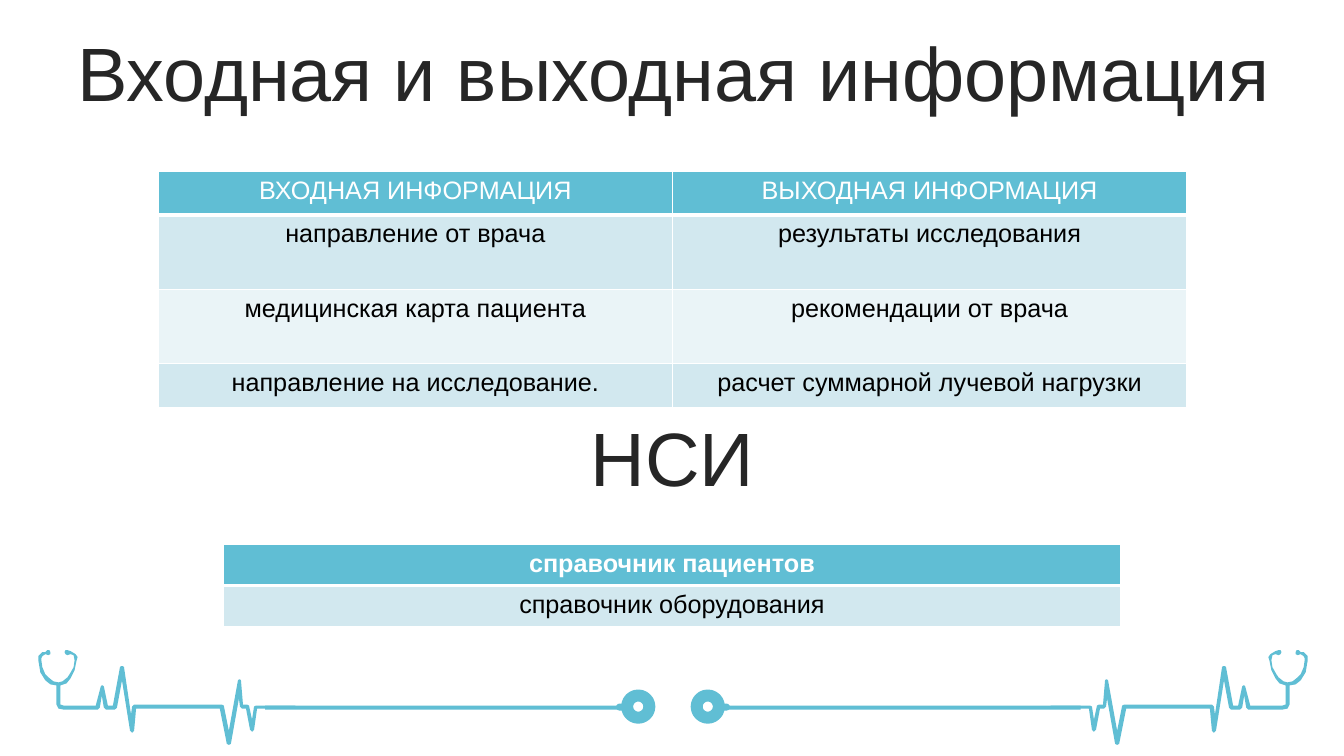
from dataclasses import dataclass

from lxml import etree
from pptx import Presentation
from pptx.dml.color import RGBColor
from pptx.enum.shapes import MSO_SHAPE
from pptx.enum.text import MSO_ANCHOR, MSO_AUTO_SIZE, PP_ALIGN
from pptx.oxml.ns import qn
from pptx.util import Inches, Pt

CENTER = PP_ALIGN.CENTER
MIDDLE = MSO_ANCHOR.MIDDLE
NO_FIT = MSO_AUTO_SIZE.NONE
OVAL = MSO_SHAPE.OVAL
RECT = MSO_SHAPE.RECTANGLE
ROUND = MSO_SHAPE.ROUNDED_RECTANGLE

FONT = "Arial"
SPAN = 13.35
HEX = {
    "teal": "60BED4",
    "band": "D2E8EF",
    "pale": "EAF4F7",
    "white": "FFFFFF",
    "black": "000000",
    "dark": "262626",
}
PULSE = [
    (0.38, 6.55), (0.38, 6.51), (0.4, 6.49), (0.42, 6.47), (0.45, 6.47),
    (0.47, 6.45), (0.49, 6.45), (0.5, 6.47), (0.5, 6.49), (0.48, 6.5),
    (0.45, 6.49), (0.42, 6.51), (0.41, 6.53), (0.41, 6.55), (0.42, 6.62),
    (0.45, 6.69), (0.48, 6.72), (0.53, 6.76), (0.58, 6.77), (0.62, 6.76),
    (0.67, 6.72), (0.69, 6.69), (0.73, 6.62), (0.74, 6.55), (0.73, 6.5),
    (0.7, 6.49), (0.67, 6.5), (0.65, 6.49), (0.64, 6.47), (0.65, 6.45),
    (0.67, 6.45), (0.7, 6.46), (0.75, 6.49), (0.77, 6.52), (0.76, 6.55),
    (0.74, 6.65), (0.7, 6.73), (0.66, 6.78), (0.6, 6.8), (0.6, 6.95),
    (0.6, 6.99), (0.63, 7), (0.95, 7), (1, 6.81), (1.01, 6.8),
    (1.02, 6.8), (1.03, 6.81), (1.07, 7), (1.12, 7), (1.19, 6.62),
    (1.2, 6.61), (1.22, 6.61), (1.23, 6.62), (1.3, 7.09), (1.31, 7.01),
    (1.33, 6.99), (2.2, 6.99), (2.22, 7), (2.27, 7.25), (2.36, 6.75),
    (2.37, 6.74), (2.38, 6.74), (2.39, 6.75), (2.41, 6.99), (2.45, 6.99),
    (2.47, 7), (2.5, 7.14), (2.52, 7.01), (2.54, 7), (2.93, 7),
    (2.93, 7.03), (2.55, 7.03), (2.52, 7.24), (2.5, 7.26), (2.48, 7.24),
    (2.44, 7.03), (2.4, 7.03), (2.38, 7.01), (2.37, 6.93), (2.29, 7.38),
    (2.27, 7.39), (2.25, 7.38), (2.18, 7.03), (1.35, 7.03), (1.33, 7.25),
    (1.31, 7.27), (1.29, 7.25), (1.21, 6.75), (1.16, 7.02), (1.14, 7.04),
    (1.05, 7.04), (1.03, 7.02), (1.01, 6.9), (0.99, 7.02), (0.97, 7.04),
    (0.63, 7.04), (0.58, 7.03), (0.56, 6.99), (0.56, 6.8), (0.5, 6.79),
    (0.45, 6.75), (0.4, 6.67),
]


@dataclass
class Part:
    kind: int
    left: float
    top: float
    width: float
    height: float


@dataclass
class Grid:
    left: float
    top: float
    width: float
    highs: list[float]
    rows: list[list[str]]
    bold: bool


RING = Part(OVAL, 6.22, 6.9, 0.22, 0.22)
BARS = [
    Part(ROUND, 6.11, 6.98, 0.11, 0.07),
    Part(RECT, 2.63, 7, 3.56, 0.04),
]
GRIDS = [
    Grid(1.57, 1.7, 10.2, [0.43, 0.74, 0.74, 0.43], [
        ["ВХОДНАЯ ИНФОРМАЦИЯ", "ВЫХОДНАЯ ИНФОРМАЦИЯ"],
        ["направление от врача", "результаты исследования"],
        ["медицинская карта пациента", "рекомендации от врача"],
        ["направление на исследование.", "расчет суммарной лучевой нагрузки"],
    ], False),
    Grid(2.22, 5.4, 8.89, [0.41, 0.41], [
        ["справочник пациентов"],
        ["справочник оборудования"],
    ], True),
]


def tint(name: str) -> RGBColor:
    return RGBColor.from_string(HEX[name])


def paint(shape) -> None:
    shape.shadow.inherit = False
    shape.fill.solid()
    shape.fill.fore_color.rgb = tint("teal")
    shape.line.fill.background()


def write(para, text: str, size: float, color: str, bold: bool = False) -> None:
    para.alignment = CENTER
    run = para.add_run()
    run.text = text
    run.font.name = FONT
    run.font.size = Pt(size)
    run.font.bold = bold
    run.font.color.rgb = tint(color)


def head(shape, left: float, top: float, text: str) -> None:
    shape.left, shape.top = Inches(left), Inches(top)
    shape.width, shape.height = Inches(12.66), Inches(0.79)
    frame = shape.text_frame
    frame.word_wrap = True
    frame.auto_size = NO_FIT
    frame.vertical_anchor = MIDDLE
    para = frame.paragraphs[0]
    para.line_spacing = 0.9
    para.space_before = Pt(10)
    write(para, text, 54, "dark")


def add_part(shapes, part: Part, flip: bool):
    left = SPAN - part.left - part.width if flip else part.left
    shape = shapes.add_shape(part.kind, Inches(left), Inches(part.top),
                             Inches(part.width), Inches(part.height))
    paint(shape)
    if part.kind == ROUND:
        shape.adjustments[0] = 0.5
    return shape


def add_scope(shapes, flip: bool) -> None:
    dots = [(Inches(SPAN - x if flip else x), Inches(y)) for x, y in PULSE]
    pen = shapes.build_freeform(*dots[0])
    pen.add_line_segments(dots[1:], close=True)
    paint(pen.convert_to_shape())
    ring = add_part(shapes, RING, flip)
    ring.fill.background()
    ring.line.color.rgb = tint("teal")
    ring.line.width = Pt(8.57)
    for bar in BARS:
        add_part(shapes, bar, flip)


def edge(cell, row: int) -> None:
    props = cell._tc.get_or_add_tcPr()
    wides = {"L": 1, "R": 1, "T": 3 if row == 1 else 1, "B": 3 if row == 0 else 1}
    for spot, (side, wide) in enumerate(wides.items()):
        line = etree.Element(qn(f"a:ln{side}"), w=str(Pt(wide)))
        fill = etree.SubElement(line, qn("a:solidFill"))
        etree.SubElement(fill, qn("a:srgbClr"), val=HEX["white"])
        props.insert(spot, line)


def add_grid(shapes, grid: Grid) -> None:
    count = len(grid.rows[0])
    table = shapes.add_table(len(grid.rows), count, Inches(grid.left),
                             Inches(grid.top), Inches(grid.width),
                             Inches(sum(grid.highs))).table
    for col in table.columns:
        col.width = Inches(grid.width / count)
    for row, (high, texts) in enumerate(zip(grid.highs, grid.rows)):
        table.rows[row].height = Inches(high)
        top = row == 0
        back = "teal" if top else "band" if row % 2 else "pale"
        for col, text in enumerate(texts):
            cell = table.cell(row, col)
            cell.fill.solid()
            cell.fill.fore_color.rgb = tint(back)
            edge(cell, row)
            write(cell.text_frame.paragraphs[0], text, 18,
                  "white" if top else "black", top and grid.bold)


def main() -> None:
    deck = Presentation()
    deck.slide_width, deck.slide_height = Inches(13.33), Inches(7.5)
    slide = deck.slides.add_slide(deck.slide_layouts[5])
    shapes = slide.shapes
    for flip in (True, False):
        add_scope(shapes, flip)
    head(shapes.title, 0.35, 0.37, "Входная и выходная информация")
    head(shapes.add_textbox(0, 0, 0, 0), 0.34, 4.19, "НСИ")
    for grid in GRIDS:
        add_grid(shapes, grid)
    deck.save("out.pptx")


if __name__ == "__main__":
    main()
